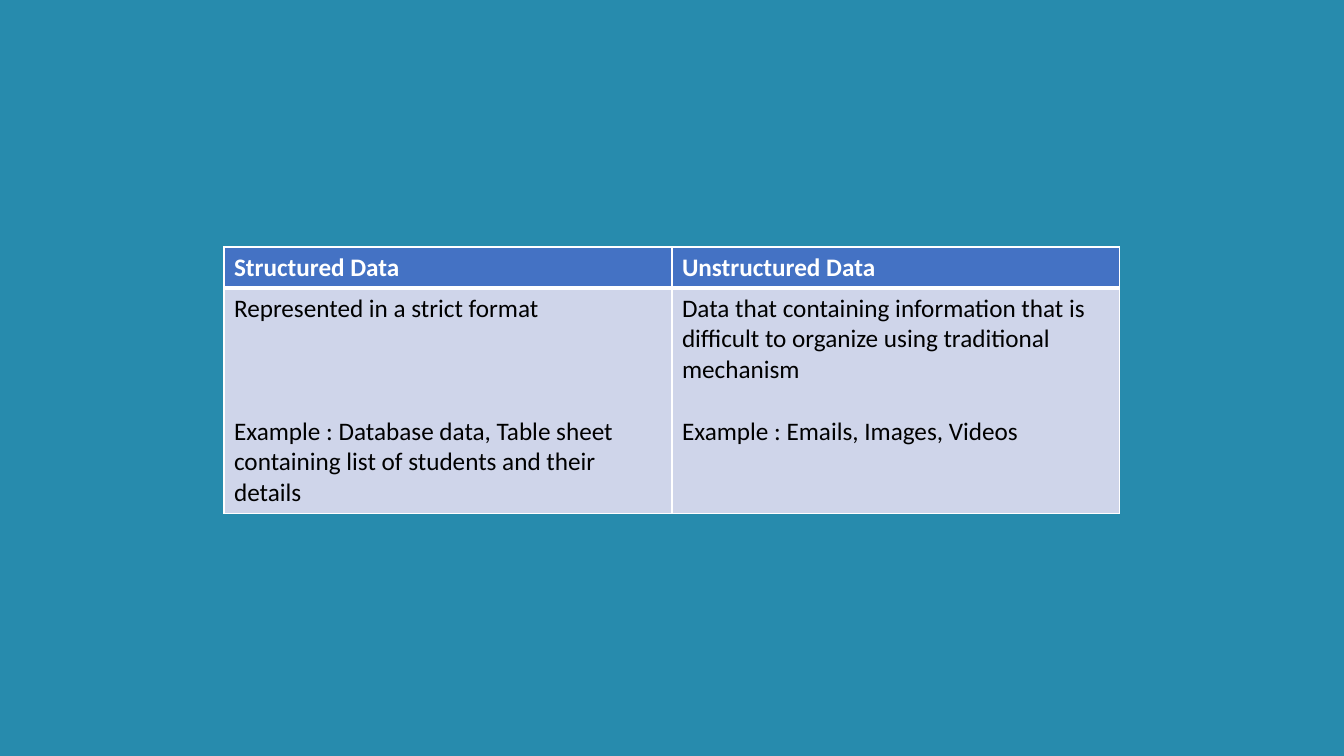
from dataclasses import dataclass

from lxml import etree
from pptx import Presentation
from pptx import util as u
from pptx.dml.color import RGBColor
from pptx.oxml import ns

EMU_PER_PX = 914400 / 100.8
PAGE_WIDTH, PAGE_HEIGHT = 1344, 756
TABLE_LEFT, TABLE_TOP = 224, 247
COLUMN_WIDTH = 448
HEADER_HEIGHT, BODY_HEIGHT = 41, 225
LINE_PT = 22
WHITE = "FFFFFF"


@dataclass(frozen=True)
class DataKind:
    """One column: its heading, description and example, with blank lines between."""
    heading: str
    description: str
    example: str
    gap_lines: int


@dataclass(frozen=True)
class RowStyle:
    fill: str
    color: str
    bold: bool
    top: int
    bottom: int


KINDS = (
    DataKind(
        "Structured Data",
        "Represented in a strict format",
        "Example : Database data, Table sheet containing list of students and their details",
        3,
    ),
    DataKind(
        "Unstructured Data",
        "Data that containing information that is difficult to organize "
        "using traditional mechanism",
        "Example : Emails, Images, Videos",
        1,
    ),
)
HEADER = RowStyle("4472C4", WHITE, True, top=1, bottom=3)
BODY = RowStyle("CFD5EA", "000000", False, top=3, bottom=1)


def px(length: int) -> u.Emu:
    return u.Emu(round(length * EMU_PER_PX))


def rgb(color: str) -> RGBColor:
    return RGBColor.from_string(color)


def write(para, words: str, *, color: str, bold: bool, before: int = 0) -> None:
    para.space_before = u.Pt(before)
    span = para.add_run()
    span.text = words
    span.font.name = "Calibri"
    span.font.size = u.Pt(18)
    span.font.bold = bold
    span.font.color.rgb = rgb(color)


def add_borders(cell, style: RowStyle) -> None:
    properties = cell._tc.get_or_add_tcPr()
    widths = {"lnL": 1, "lnR": 1, "lnT": style.top, "lnB": style.bottom}
    for side, width in widths.items():
        line = etree.SubElement(properties, ns.qn(f"a:{side}"), w=str(u.Pt(width)))
        fill = etree.SubElement(line, ns.qn("a:solidFill"))
        etree.SubElement(fill, ns.qn("a:srgbClr"), val=WHITE)


def fill_cell(cell, style: RowStyle, lines: tuple[str, ...], gap_lines: int = 0) -> None:
    add_borders(cell, style)
    cell.fill.solid()
    cell.fill.fore_color.rgb = rgb(style.fill)
    frame = cell.text_frame
    for index, words in enumerate(lines):
        para = frame.add_paragraph() if index else frame.paragraphs[0]
        write(para, words, color=style.color, bold=style.bold,
              before=gap_lines * LINE_PT if index else 0)


def add_comparison(page) -> None:
    table = page.shapes.add_table(
        2, len(KINDS), px(TABLE_LEFT), px(TABLE_TOP),
        px(COLUMN_WIDTH * len(KINDS)), px(HEADER_HEIGHT + BODY_HEIGHT),
    ).table
    table.horz_banding = False
    for row, height in zip(table.rows, (HEADER_HEIGHT, BODY_HEIGHT)):
        row.height = px(height)
    for index, kind in enumerate(KINDS):
        table.columns[index].width = px(COLUMN_WIDTH)
        fill_cell(table.cell(0, index), HEADER, (kind.heading,))
        fill_cell(table.cell(1, index), BODY,
                  (kind.description, kind.example), kind.gap_lines)


def main() -> None:
    deck = Presentation()
    deck.slide_width, deck.slide_height = px(PAGE_WIDTH), px(PAGE_HEIGHT)
    page = deck.slides.add_slide(deck.slide_layouts[6])
    page.background.fill.solid()
    page.background.fill.fore_color.rgb = rgb("278BAD")
    add_comparison(page)
    deck.save("out.pptx")


if __name__ == "__main__":
    main()
